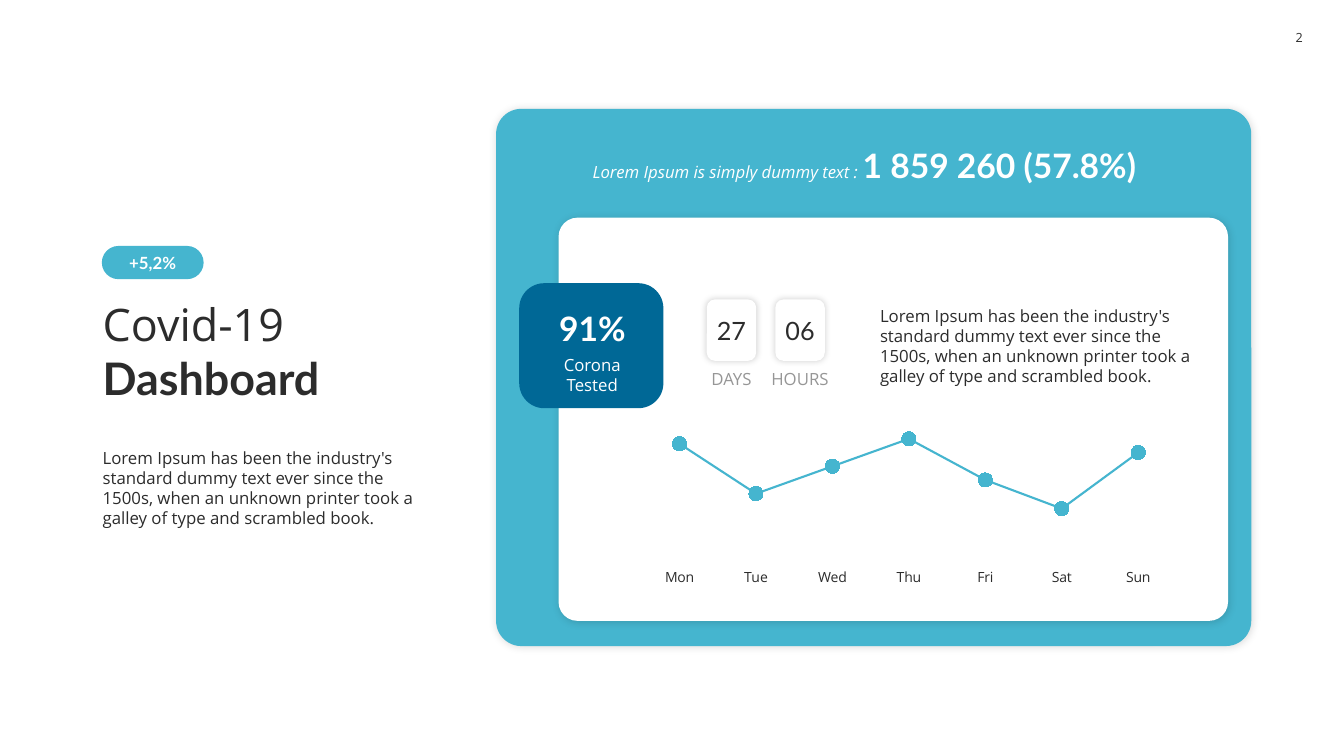
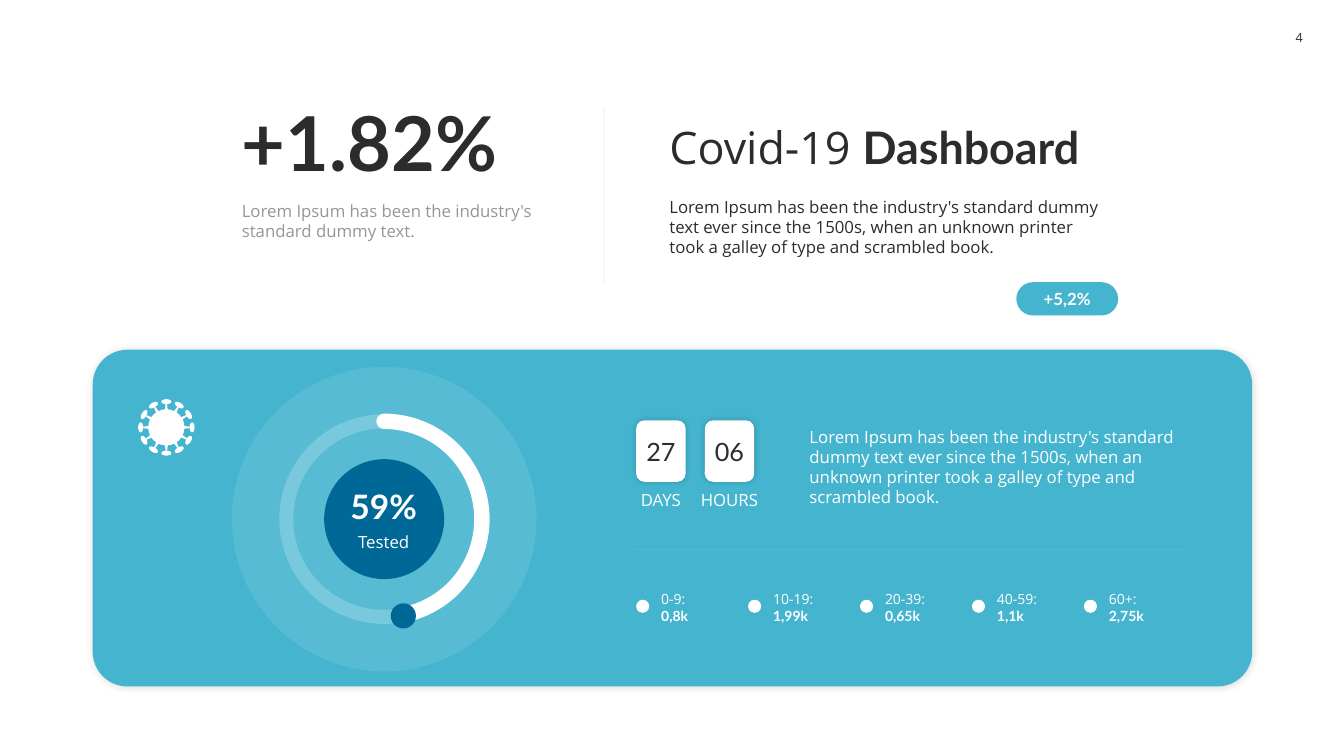
"""Builds two dashboard slides with shared panels, counters, pills and titles."""
import math

from lxml import etree
from pptx import Presentation
from pptx.chart.data import CategoryChartData
from pptx.dml.color import RGBColor
from pptx.enum import chart as charts, shapes, text
from pptx.oxml import ns
from pptx import util as u

PX = 9144
TEAL = RGBColor(0x45, 0xB5, 0xCF)
NAVY = RGBColor(0x00, 0x68, 0x96)
INK = RGBColor(0x2C, 0x2C, 0x2C)
GREY = RGBColor(0x96, 0x96, 0x96)
WHITE = RGBColor(0xFF, 0xFF, 0xFF)
BODY, HEAD = "Open Sans", "Lato"
FORM, ALIGN, ANCHOR = shapes.MSO_SHAPE, text.PP_ALIGN, text.MSO_ANCHOR
PANEL_SHADOW = {"alpha": 15, "blur": 6, "distance": 1}
CARD_SHADOW = {"alpha": 20, "blur": 5, "distance": 0}
STRONG = {"font": HEAD, "bold": True}
TITLE = ["Covid-19 ", ("Dashboard", STRONG)]
BLURB = ("Lorem Ipsum has been the industry's standard dummy text ever since the "
         "1500s, when an unknown printer took a galley of type and scrambled book.")
AGES = [("0-9:", "0,8k"), ("10-19:", "1,99k"), ("20-39:", "0,65k"),
        ("40-59:", "1,1k"), ("60+:", "2,75k")]
WEEK = {"Mon": 96, "Tue": 56, "Wed": 78, "Thu": 100, "Fri": 67, "Sat": 44, "Sun": 89}


def px(*lengths):
    """Turn px lengths into EMU."""
    return [round(length * PX) for length in lengths]


def child(parent, tag, **attributes):
    """Append an XML element with the given attributes."""
    element = etree.SubElement(parent, ns.qn(tag))
    for name, value in attributes.items():
        element.set(name, str(value))
    return element


def fade(parent, percent):
    """Make the colours below an XML element partly transparent."""
    for color in parent.iter(ns.qn("a:srgbClr")):
        child(color, "a:alpha", val=percent * 1000)


def cast(shape, alpha, blur, distance):
    """Give a shape a soft shadow towards the lower right."""
    effects = shape._element.spPr.find(ns.qn("a:effectLst"))
    shadow = child(effects, "a:outerShdw", blurRad=u.Pt(blur), dist=u.Pt(distance),
                   dir=45 * 60000, algn="tl", rotWithShape=0)
    child(child(shadow, "a:srgbClr", val="000000"), "a:alpha", val=alpha * 1000)


def draw(owner, form, box, fill=None, opacity=None, adjust=(), shadow=None, angle=0):
    """Add a preset shape without outline."""
    shape = owner.shapes.add_shape(form, *px(*box))
    shape.shadow.inherit = False
    shape.rotation = angle
    for index, value in enumerate(adjust):
        shape.adjustments[index] = value
    if fill is None:
        shape.fill.background()
    else:
        shape.fill.solid()
        shape.fill.fore_color.rgb = fill
    shape.line.fill.background()
    if opacity:
        fade(shape._element.spPr, opacity)
    if shadow:
        cast(shape, **shadow)
    return shape


def outline(line, color, width, opacity=None):
    """Style a line and return its XML element."""
    line.color.rgb = color
    line.width = u.Pt(width)
    if opacity:
        fade(line._ln, opacity)
    return line._ln


def divider(slide, start, end, color):
    """Add a faint hairline."""
    rule = slide.shapes.add_connector(shapes.MSO_CONNECTOR.STRAIGHT, *px(*start, *end))
    outline(rule.line, color, 0.5, 10)
    child(rule._element.spPr, "a:effectLst")


def style(font_object, size, font, color, bold=False, italic=False):
    """Set size, typeface, colour and emphasis of a font."""
    font_object.size = u.Pt(size)
    font_object.name = font
    font_object.color.rgb = color
    font_object.bold = bold
    font_object.italic = italic


def write(shape, *paragraphs, align=ALIGN.LEFT, anchor=ANCHOR.TOP, margins=(10, 5),
          wrap=True, **look):
    """Write paragraphs, each a string or a list of runs, into a shape."""
    frame = shape.text_frame
    frame.word_wrap = wrap
    frame.vertical_anchor = anchor
    frame.margin_left, frame.margin_top = px(*margins)
    frame.margin_right, frame.margin_bottom = px(*margins)
    look = {"size": 12, "font": BODY, "color": INK, **look}
    for index, content in enumerate(paragraphs):
        paragraph = frame.add_paragraph() if index else frame.paragraphs[0]
        paragraph.alignment = align
        for part in [content] if isinstance(content, (str, tuple)) else content:
            words, change = (part, {}) if isinstance(part, str) else part
            run = paragraph.add_run()
            run.text = words
            style(run.font, **{**look, **change})


def label(slide, box, *paragraphs, **look):
    """Add a text box."""
    write(slide.shapes.add_textbox(*px(*box)), *paragraphs, **look)


def new_slide(deck, number):
    """Add a blank slide with its page number."""
    slide = deck.slides.add_slide(deck.slide_layouts[6])
    label(slide, (1269, 18, 39, 39), number, size=9, align=ALIGN.CENTER,
          anchor=ANCHOR.MIDDLE, margins=(0, 5), wrap=False)
    return slide


def title(slide, box):
    """Add the dashboard title."""
    label(slide, box, TITLE, size=32, anchor=ANCHOR.BOTTOM)


def pill(slide, left, top):
    """Add the growth pill."""
    shape = draw(slide, FORM.ROUNDED_RECTANGLE, (left, top, 101, 33), TEAL, adjust=[0.5])
    write(shape, "+5,2%", color=WHITE, align=ALIGN.CENTER, anchor=ANCHOR.MIDDLE,
          margins=(0, 0), **STRONG)


def panel(slide, box, fill, corner):
    """Add a rounded panel with a soft shadow."""
    draw(slide, FORM.ROUNDED_RECTANGLE, box, fill, adjust=[corner], shadow=PANEL_SHADOW)


def counter(slide, left, top, unit_color):
    """Add the cards for days and hours with their units."""
    for index, (count, unit) in enumerate([("27", "DAYS"), ("06", "HOURS")]):
        x = left + 68 * index
        card = draw(slide, FORM.ROUNDED_RECTANGLE, (x, top, 49, 61), WHITE,
                    shadow=CARD_SHADOW)
        write(card, count, size=18, font=HEAD, align=ALIGN.CENTER,
              anchor=ANCHOR.MIDDLE, margins=(0, 5))
        label(slide, (x - 9, top + 64, 67, 30), unit, color=unit_color,
              align=ALIGN.CENTER, margins=(4, 5))


def share(slide, left, top, width, percent, caption, gap):
    """Add a large percentage with its caption below."""
    label(slide, (left, top, width, 50), percent, size=24, color=WHITE,
          align=ALIGN.CENTER, anchor=ANCHOR.BOTTOM, **STRONG)
    label(slide, (left, top + gap, width, 50), caption, color=WHITE, align=ALIGN.CENTER)


def week_chart(slide, box):
    """Add the line chart of the week."""
    data = CategoryChartData()
    data.categories = list(WEEK)
    data.add_series("Series 1", list(WEEK.values()))
    chart = slide.shapes.add_chart(charts.XL_CHART_TYPE.LINE_MARKERS_STACKED,
                                   *px(*box), data).chart
    chart.has_legend = chart.has_title = False
    style(chart.font, 12, BODY, INK)
    values, days = chart.value_axis, chart.category_axis
    values.minimum_scale, values.maximum_scale = 0, 110
    values.has_major_gridlines = values.visible = False
    days.major_tick_mark = charts.XL_TICK_MARK.NONE
    days.format.line.fill.background()
    style(days.tick_labels.font, 10, BODY, INK)
    chart.plots[0].vary_by_categories = False
    series = chart.plots[0].series[0]
    series.smooth = False
    outline(series.format.line, TEAL, 1.5)
    series.marker.style = charts.XL_MARKER_STYLE.CIRCLE
    series.marker.size = 10
    series.marker.format.fill.solid()
    series.marker.format.fill.fore_color.rgb = TEAL
    series.marker.format.line.fill.background()
    place_plot(chart, x=0.02, y=0.03, w=0.96, h=0.81)


def place_plot(chart, **fractions):
    """Fix the inner plot area as fractions of the chart."""
    area = chart._chartSpace.find(".//" + ns.qn("c:plotArea"))
    for old in area.findall(ns.qn("c:layout")):
        area.remove(old)
    layout = etree.Element(ns.qn("c:layout"))
    area.insert(0, layout)
    manual = child(layout, "c:manualLayout")
    child(manual, "c:layoutTarget", val="inner")
    for side in "xy":
        child(manual, f"c:{side}Mode", val="edge")
    for side, value in fractions.items():
        child(manual, f"c:{side}", val=value)


def disc(owner, x, y, diameter, fill=None, **look):
    """Add a circle around a centre."""
    box = (x - diameter / 2, y - diameter / 2, diameter, diameter)
    return draw(owner, FORM.OVAL, box, fill, **look)


def virus(slide, x, y):
    """Add a round virus icon with twelve spikes."""
    icon = slide.shapes.add_group_shape()
    disc(icon, x, y, 36, WHITE)
    spike_parts = [(FORM.OVAL, 25.5, 10, 5, ()), (FORM.TRAPEZOID, 20, 3, 6, [0.27])]
    for angle in range(0, 360, 30):
        turn = math.radians(angle)
        for form, radius, width, height, adjust in spike_parts:
            left = x + radius * math.sin(turn) - width / 2
            top = y - radius * math.cos(turn) - height / 2
            draw(icon, form, (left, top, width, height), WHITE, adjust=adjust,
                 angle=angle)


def gauge(slide, x, y):
    """Add the progress ring with its share in the middle."""
    disc(slide, x, y, 302, WHITE, opacity=10)
    disc(slide, x, y, 119, NAVY)
    track = disc(slide, x, y, 194)
    outline(track.line, WHITE, 10, 20)
    progress = draw(slide, FORM.ARC, (x - 97, y - 97, 194, 194), adjust=[162, 44.96])
    outline(progress.line, WHITE, 11).set("cap", "rnd")
    disc(slide, x + 19, y + 96, 25, NAVY)
    share(slide, x - 60, y - 38, 119, "59%", "Tested", 46)


def age_legend(slide, left, top):
    """Add the row of age groups."""
    for index, (group, amount) in enumerate(AGES):
        x = left + 111 * index
        disc(slide, x + 6.5, top + 6.5, 13, WHITE)
        label(slide, (x + 15, top - 14, 80, 44), group, (amount, STRONG), size=10,
              color=WHITE, anchor=ANCHOR.MIDDLE)


def week_slide(deck):
    """Build the slide with the chart of the week."""
    slide = new_slide(deck, "2")
    panel(slide, (492, 108, 749, 533), TEAL, 0.047)
    title(slide, (92, 288, 336, 118))
    label(slide, (92, 439, 336, 91), BLURB)
    pill(slide, 101, 244)
    panel(slide, (554, 216, 664, 400), WHITE, 0.047)
    label(slide, (578, 139, 600, 50),
          [("Lorem Ipsum is simply dummy text : ", {"italic": True}),
           ("1 859 260 (57.8%)", {"size": 24, **STRONG})], color=WHITE)
    draw(slide, FORM.ROUNDED_RECTANGLE, (515, 281, 143, 124), NAVY, adjust=[0.2])
    share(slide, 526, 300, 123, "91%", "Corona Tested", 47)
    counter(slide, 701, 297, GREY)
    label(slide, (863, 298, 336, 91), BLURB)
    week_chart(slide, (625, 418, 553, 168))


def gauge_slide(deck):
    """Build the slide with the progress ring."""
    slide = new_slide(deck, "4")
    label(slide, (230, 89, 336, 101), "+1.82%", size=54, anchor=ANCHOR.BOTTOM, **STRONG)
    label(slide, (230, 194, 336, 50),
          "Lorem Ipsum has been the industry's standard dummy text.", color=GREY)
    divider(slide, (599, 106), (599, 280), INK)
    title(slide, (654, 113, 455, 64))
    label(slide, (654, 190, 455, 71), BLURB)
    pill(slide, 1008, 280)
    panel(slide, (92, 347, 1150, 334), TEAL, 0.103)
    gauge(slide, 381, 515)
    virus(slide, 165, 424)
    counter(slide, 631, 417, WHITE)
    label(slide, (793, 418, 382, 91), BLURB, color=WHITE)
    divider(slide, (629, 545), (1176, 545), WHITE)
    age_legend(slide, 631, 595)


def main():
    """Build and save the deck."""
    deck = Presentation()
    deck.slide_width, deck.slide_height = px(1333, 750)
    week_slide(deck)
    gauge_slide(deck)
    deck.save("out.pptx")


if __name__ == "__main__":
    main()
